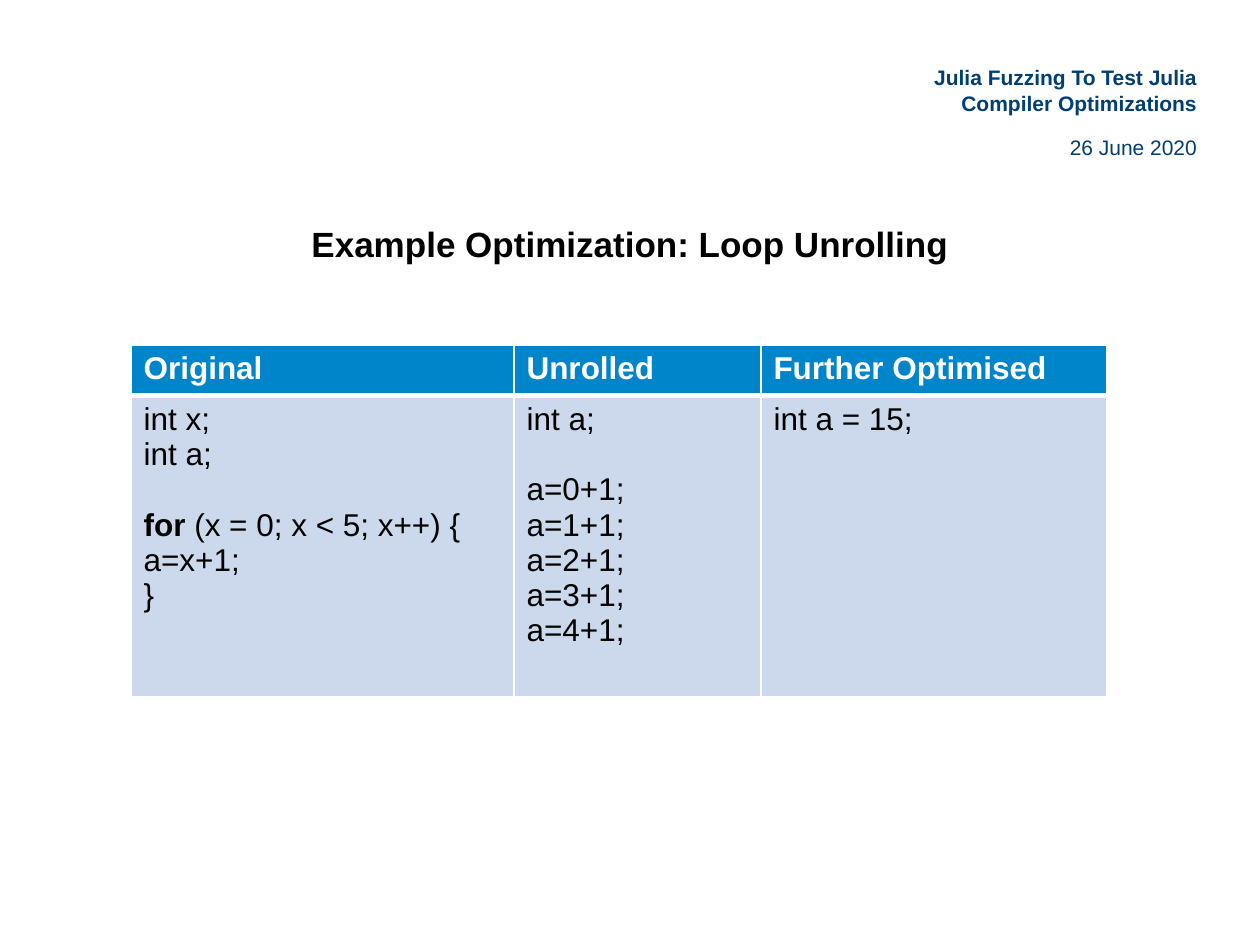
"""Build a slide that shows loop unrolling as a three-column code table."""
from typing import NamedTuple

from lxml.etree import SubElement
from pptx import Presentation
from pptx.dml.color import RGBColor
from pptx.enum.text import MSO_ANCHOR as Anchor, PP_ALIGN as Align
from pptx.oxml import parse_xml
from pptx.oxml.ns import nsdecls, qn
from pptx.util import Emu, Pt

PX = 914400 / 126
FONT = "Arial"
COLORS = {
    "text": "000000",
    "navy": "003E74",
    "header": "0085CA",
    "body": "CCD9EC",
    "white": "FFFFFF",
}


class Line(NamedTuple):
    text: str
    keyword: str = ""
    gap: float = 0


class Column(NamedTuple):
    heading: str
    width: int
    code: list[Line]


class Label(NamedTuple):
    text: str
    box: tuple[int, int, int, int]
    size: int
    color: str
    bold: bool
    align: Align
    anchor: Anchor = Anchor.TOP
    inset_top: int = 0


BLANK_LINE = 20.1
ROW_HEIGHTS = (47, 301)
TABLE_LEFT, TABLE_TOP = 131, 345
LABELS = [
    Label("Example Optimization: Loop Unrolling", (63, 205, 1134, 71), 20, "text",
          True, Align.CENTER, Anchor.MIDDLE, 6),
    Label("Julia Fuzzing To Test Julia Compiler Optimizations", (849, 65, 348, 71), 12,
          "navy", True, Align.RIGHT),
    Label("26 June 2020", (978, 135, 219, 35), 12, "navy", False, Align.RIGHT),
]
COLUMNS = [
    Column("Original", 383, [
        Line("int x;"),
        Line("int a;"),
        Line(" (x = 0; x < 5; x++) {", keyword="for", gap=BLANK_LINE),
        Line("a=x+1;"),
        Line("}"),
    ]),
    Column("Unrolled", 247, [Line("int a;")] + [
        Line(f"a={i}+1;", gap=0 if i else BLANK_LINE) for i in range(5)
    ]),
    Column("Further Optimised", 346, [Line("int a = 15;")]),
]


def px(n: int) -> Emu:
    return Emu(round(n * PX))


def rgb(name: str) -> RGBColor:
    return RGBColor.from_string(COLORS[name])


def add_text(p, text: str, *, size: int = 18, color: str = "text", bold: bool = False) -> None:
    r = p.add_run()
    r.text = text
    r.font.name, r.font.size, r.font.bold = FONT, Pt(size), bold
    r.font.color.rgb = rgb(color)


def add_label(slide, label: Label) -> None:
    sp = slide.shapes.add_textbox(*map(px, label.box))
    tf = sp.text_frame
    tf.word_wrap = True
    tf.vertical_anchor = label.anchor
    tf.margin_left = tf.margin_right = tf.margin_bottom = 0
    tf.margin_top = px(label.inset_top)
    p = tf.paragraphs[0]
    p.alignment = label.align
    add_text(p, label.text, size=label.size, color=label.color, bold=label.bold)


def style_cell(cell, fill: str, top: int, bottom: int) -> None:
    cell.fill.solid()
    cell.fill.fore_color.rgb = rgb(fill)
    tc_pr = cell._tc.get_or_add_tcPr()
    for i, (side, width) in enumerate({"L": 1, "R": 1, "T": top, "B": bottom}.items()):
        ln = parse_xml(f'<a:ln{side} {nsdecls("a")} w="{Pt(width)}"/>')
        SubElement(SubElement(ln, qn("a:solidFill")), qn("a:srgbClr"), val=COLORS["white"])
        tc_pr.insert(i, ln)


def add_code(tf, lines: list[Line]) -> None:
    for i, line in enumerate(lines):
        p = tf.add_paragraph() if i else tf.paragraphs[0]
        p.space_before = Pt(line.gap)
        if line.keyword:
            add_text(p, line.keyword, bold=True)
        add_text(p, line.text)


def add_code_table(slide, columns: list[Column]) -> None:
    width = sum(c.width for c in columns)
    frame = slide.shapes.add_table(len(ROW_HEIGHTS), len(columns), px(TABLE_LEFT),
                                   px(TABLE_TOP), px(width), px(sum(ROW_HEIGHTS)))
    table = frame.table
    for row, height in zip(table.rows, ROW_HEIGHTS):
        row.height = px(height)
    for i, column in enumerate(columns):
        table.columns[i].width = px(column.width)
        head, body = table.cell(0, i), table.cell(1, i)
        style_cell(head, "header", top=1, bottom=3)
        style_cell(body, "body", top=3, bottom=1)
        add_text(head.text_frame.paragraphs[0], column.heading, color="white", bold=True)
        add_code(body.text_frame, column.code)


def main() -> None:
    prs = Presentation()
    prs.slide_width, prs.slide_height = px(1260), px(945)
    slide = prs.slides.add_slide(prs.slide_layouts[6])
    for label in LABELS:
        add_label(slide, label)
    add_code_table(slide, COLUMNS)
    prs.save("out.pptx")


if __name__ == "__main__":
    main()
